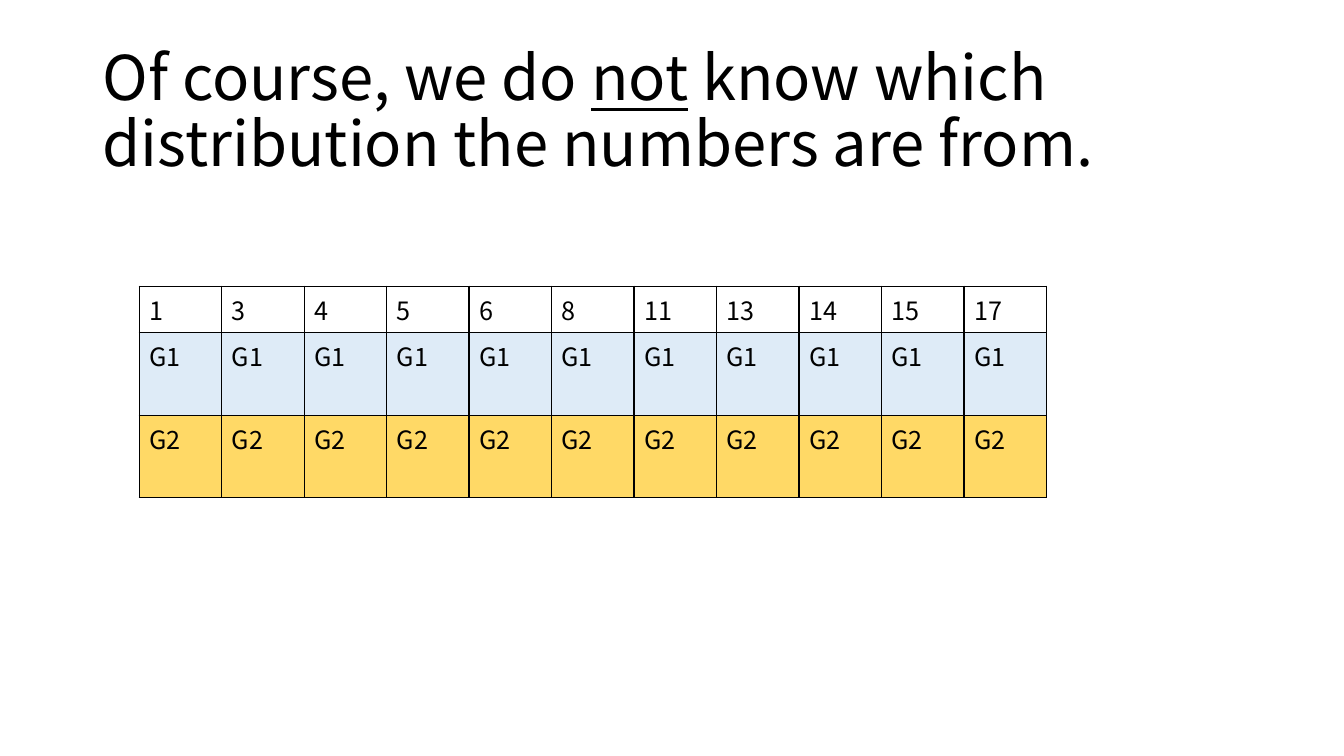
from dataclasses import dataclass
from typing import Optional

from lxml.etree import SubElement
from pptx import Presentation
from pptx.dml.color import RGBColor
from pptx.enum.text import MSO_ANCHOR
from pptx.oxml.ns import qn
from pptx.slide import Slide
from pptx.table import _Cell
from pptx.text.text import _Paragraph
from pptx.util import Inches, Pt

BLACK = RGBColor(0x00, 0x00, 0x00)
PALE_BLUE = RGBColor(0xDE, 0xEB, 0xF7)
GOLD = RGBColor(0xFF, 0xD9, 0x66)
FONT = "Noto Sans CJK KR"
NUMBERS = [1, 3, 4, 5, 6, 8, 11, 13, 14, 15, 17]
TABLE_WIDTH = 9


@dataclass(frozen=True)
class TableRow:
    labels: list[str]
    height: float
    fill: Optional[RGBColor] = None


ROWS = [
    TableRow([str(number) for number in NUMBERS], 0.46),
    TableRow(["G1"] * len(NUMBERS), 0.82, PALE_BLUE),
    TableRow(["G2"] * len(NUMBERS), 0.82, GOLD),
]


def add_text(paragraph: _Paragraph, text: str, *, size: float, underline: bool = False) -> None:
    run = paragraph.add_run()
    run.text = text
    run.font.name = FONT
    run.font.size = Pt(size)
    run.font.color.rgb = BLACK
    run.font.underline = underline


def add_borders(cell: _Cell) -> None:
    properties = cell._tc.get_or_add_tcPr()
    for side in ("a:lnL", "a:lnR", "a:lnT", "a:lnB"):
        line = SubElement(properties, qn(side), w=str(Pt(1)))
        fill = SubElement(line, qn("a:solidFill"))
        SubElement(fill, qn("a:srgbClr"), val=str(BLACK))


def add_title(slide: Slide) -> None:
    title = slide.shapes.add_textbox(Inches(0.92), Inches(0.4), Inches(11.5), Inches(1.45))
    frame = title.text_frame
    frame.word_wrap = True
    frame.vertical_anchor = MSO_ANCHOR.MIDDLE
    paragraph = frame.paragraphs[0]
    paragraph.line_spacing = 0.9
    add_text(paragraph, "Of course, we do ", size=44)
    add_text(paragraph, "not", size=44, underline=True)
    add_text(paragraph, " know which distribution the numbers are from.", size=44)


def add_group_table(slide: Slide, rows: list[TableRow]) -> None:
    height = sum(row.height for row in rows)
    table = slide.shapes.add_table(
        len(rows), len(NUMBERS), Inches(1.38), Inches(2.84), Inches(TABLE_WIDTH), Inches(height)
    ).table
    table.first_row = False
    table.horz_banding = False
    for column in table.columns:
        column.width = Inches(TABLE_WIDTH / len(NUMBERS))
    for row_index, row in enumerate(rows):
        table.rows[row_index].height = Inches(row.height)
        for column_index, label in enumerate(row.labels):
            cell = table.cell(row_index, column_index)
            add_borders(cell)
            if row.fill is None:
                cell.fill.background()
            else:
                cell.fill.solid()
                cell.fill.fore_color.rgb = row.fill
            add_text(cell.text_frame.paragraphs[0], label, size=18)


def main() -> None:
    presentation = Presentation()
    presentation.slide_width = Inches(13.33)
    presentation.slide_height = Inches(7.5)
    slide = presentation.slides.add_slide(presentation.slide_layouts[6])
    add_title(slide)
    add_group_table(slide, ROWS)
    presentation.save("out.pptx")


if __name__ == "__main__":
    main()
